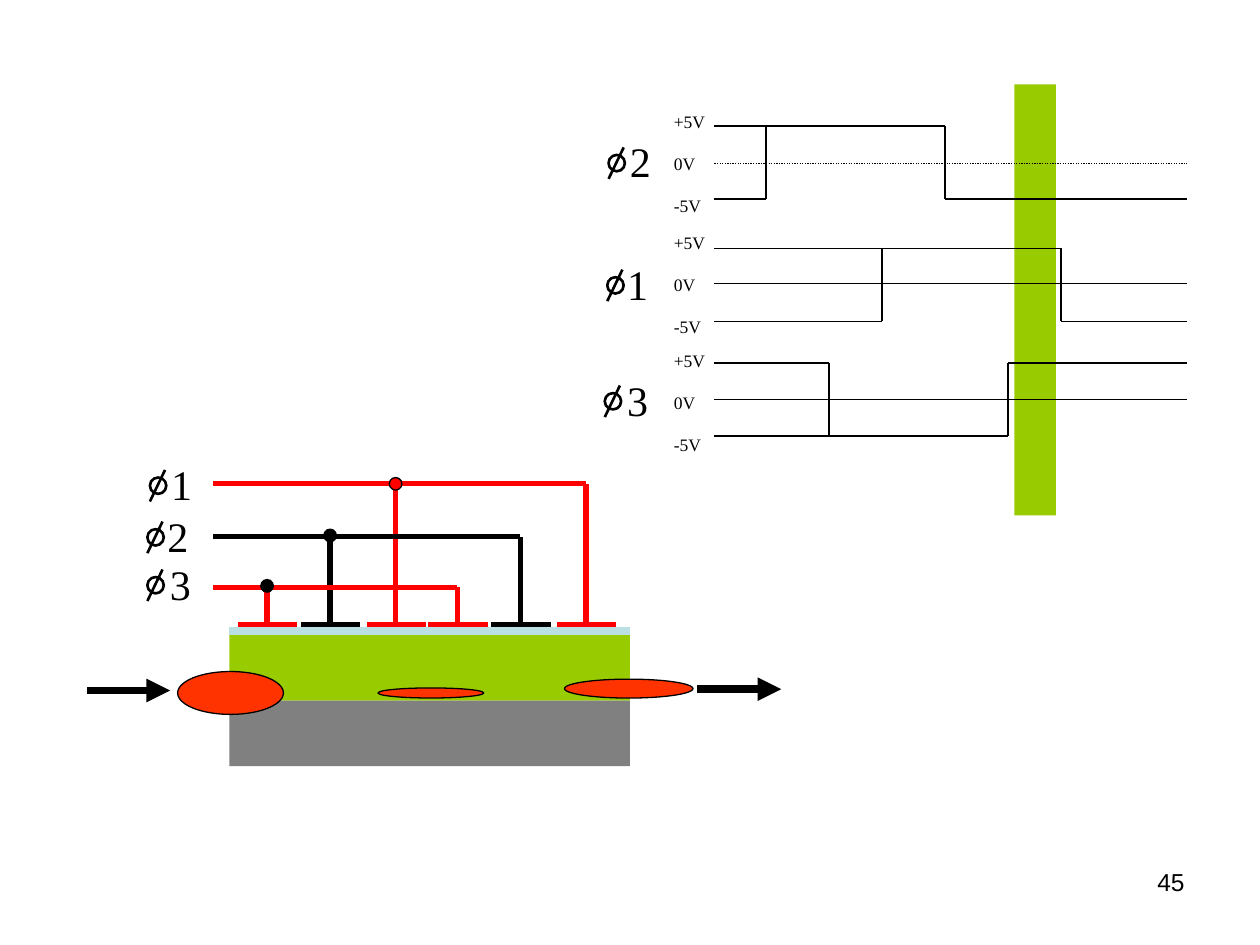
"""Builds a slide with a three-phase charge-coupled device and its clock signals."""
from itertools import pairwise

from lxml import etree
from pptx import Presentation
from pptx import util as u
from pptx.dml.color import RGBColor
from pptx.enum import dml, shapes, text
from pptx.oxml.ns import qn

PX = 9144
THEME = {
    "black": "000000", "white": "FFFFFF", "red": "FF0000", "charge": "FF3300",
    "silicon": "99CC00", "substrate": "808080", "oxide": "BBE0E3",
    "serif": "Times New Roman", "sans": "Arial",
    "phase_pt": 24, "number_pt": 14, "volt_pt": 10,
    "thin": 0.75, "symbol": 1.5, "wire": 3, "thick": 4.5,
}
BLACK = THEME["black"]

prs = Presentation()
prs.slide_width, prs.slide_height = 1000 * PX, 750 * PX
s = prs.slides.add_slide(prs.slide_layouts[6])


def draw(x, y, w, h, kind="RECTANGLE", fill=None, line=None):
    sp = s.shapes.add_shape(shapes.MSO_SHAPE[kind], x * PX, y * PX, w * PX, h * PX)
    sp.shadow.inherit = False
    if fill:
        sp.fill.solid()
        sp.fill.fore_color.rgb = RGBColor.from_string(fill)
    else:
        sp.fill.background()
    if line:
        sp.line.color.rgb = RGBColor.from_string(BLACK)
        sp.line.width = u.Pt(line)
    else:
        sp.line.fill.background()


def connect(x1, y1, x2, y2, color=BLACK, width=THEME["thin"]):
    c = s.shapes.add_connector(
        shapes.MSO_CONNECTOR.STRAIGHT, x1 * PX, y1 * PX, x2 * PX, y2 * PX)
    c.line.color.rgb = RGBColor.from_string(color)
    c.line.width = u.Pt(width)
    etree.SubElement(c._element.spPr, qn("a:effectLst"))
    return c


draw(805, 67, 33, 342, fill=THEME["silicon"])
draw(182, 504, 318, 52, fill=THEME["silicon"])
draw(169, 491, 70, 10, fill=THEME["white"])

buses = [(384, 102, THEME["red"]), (426, 50, BLACK), (466, 0, THEME["red"])]
for triad in (340, 189):
    for bus_y, offset, color in buses:
        x = triad + offset
        connect(x, 497, x + 47, 497, color, THEME["thick"])
        connect(x + 23, 497, x + 23, bus_y, color, THEME["wire"])

draw(182, 556, 318, 52, fill=THEME["substrate"])
connect(182, 501, 500, 501, THEME["oxide"], THEME["thick"])
for bus_y, offset, color in buses:
    connect(363 + offset, bus_y, 169, bus_y, color, THEME["wire"])
for x, y, color in [(309, 379, THEME["red"]), (257, 420, BLACK), (207, 460, BLACK)]:
    draw(x, y, 10, 10, "OVAL", color, THEME["thin"])
for x, y, w, h in [(300, 546, 84, 8), (448, 539, 102, 15), (141, 533, 84, 34)]:
    draw(x, y, w, h, "OVAL", THEME["charge"], THEME["thin"])

levels = {1: (197, 225, 255), 2: (100, 130, 158), 3: (288, 317, 346)}
edges = {1: (700, 842), 2: (608, 750), 3: (658, 800)}
left, right = 567, 942
for phase, (high, zero, low) in levels.items():
    rest, pulse = (high, low) if phase == 3 else (low, high)
    start, end = edges[phase]
    axis = connect(left, zero, right, zero)
    if phase == 2:
        axis.line.dash_style = dml.MSO_LINE.ROUND_DOT
    connect(left, pulse, start, pulse)
    wave = [(left, rest), (start, rest), (start, pulse),
            (end, pulse), (end, rest), (right, rest)]
    for a, b in pairwise(wave):
        connect(*a, *b)

labels = [(717, 683, 233, 52, ["45"], THEME["number_pt"], THEME["sans"])]
for y in (83, 179, 273):
    labels.append((525, y, 46, 94, ["+5V", "0V", "-5V"], THEME["volt_pt"], THEME["serif"]))
symbols = [(119, 379, "1", 7), (117, 420, "2", 6), (117, 458, "3", 8),
           (482, 220, "1", 6), (483, 123, "2", 7), (480, 312, "3", 8)]
for x, y, digit, gap in symbols:
    draw(x, y, 13, 13, "OVAL", line=THEME["symbol"])
    connect(x + 12, y - 6, x, y + 19, width=THEME["symbol"])
    labels.append((x + gap, y - 20, 36, 50, [digit], THEME["phase_pt"], THEME["serif"]))

for x, y, w, h, lines, size, font in labels:
    tf = s.shapes.add_textbox(x * PX, y * PX, w * PX, h * PX).text_frame
    numbered = font == THEME["sans"]
    tf.word_wrap = numbered
    if not numbered:
        tf.auto_size = text.MSO_AUTO_SIZE.SHAPE_TO_FIT_TEXT
    tf.text = "\n".join(lines)
    for i, p in enumerate(tf.paragraphs):
        p.alignment = text.PP_ALIGN.RIGHT if numbered else text.PP_ALIGN.LEFT
        if i:
            p.space_before = u.Pt(12)
        for r in p.runs:
            r.font.size, r.font.name = u.Pt(size), font
            r.font.color.rgb = RGBColor.from_string(BLACK)

for x1, x2, y in [(553, 620, 547), (69, 135, 548)]:
    arrow = connect(x1, y, x2, y, width=THEME["thick"])
    etree.SubElement(arrow.line._get_or_add_ln(), qn("a:tailEnd"), type="triangle")

prs.save("out.pptx")
